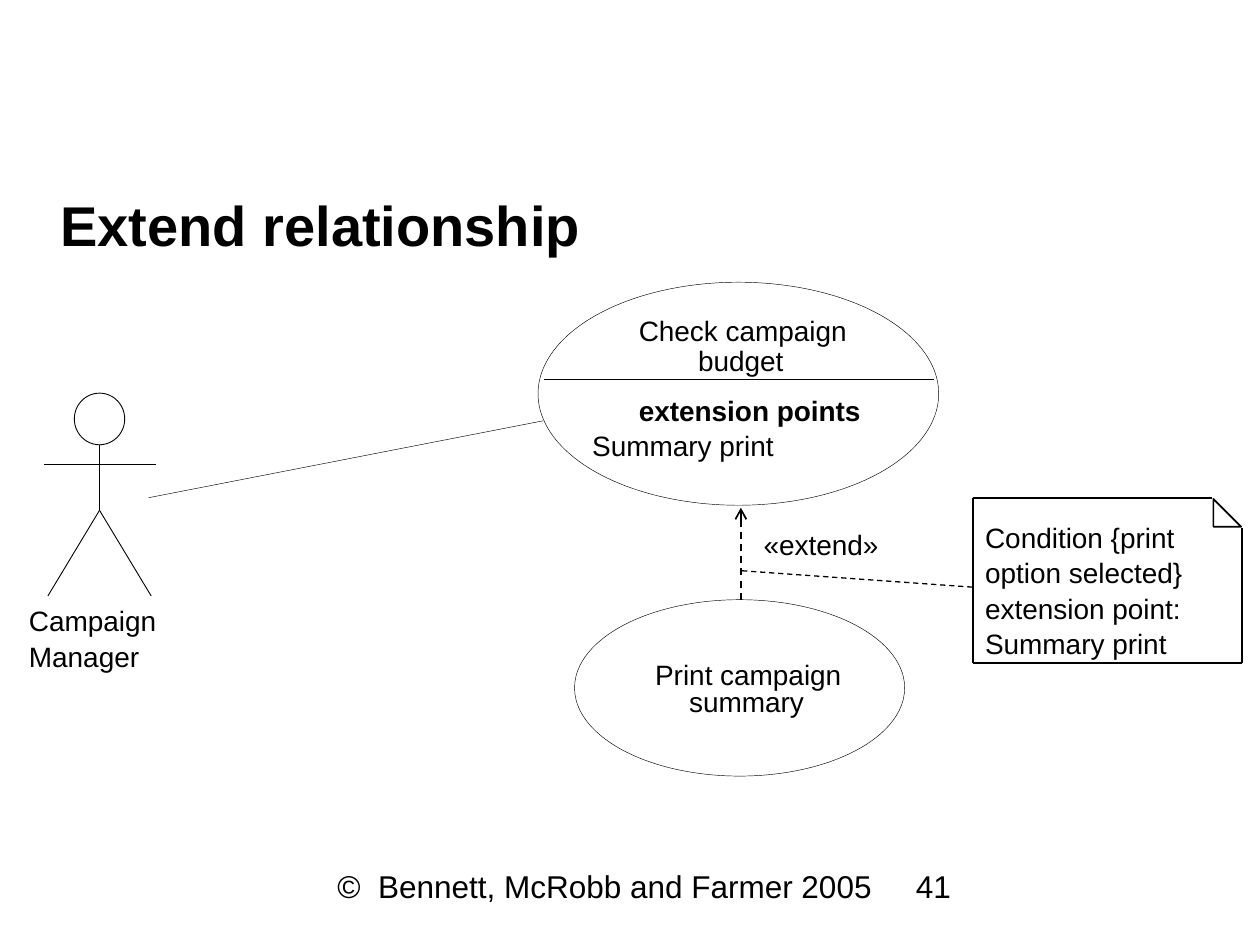
from dataclasses import dataclass

from lxml import etree
from pptx import Presentation
from pptx import util as u
from pptx.dml.color import RGBColor
from pptx.enum import dml, shapes, text
from pptx.oxml import ns

INK, PAPER = "000000", "FFFFFF"
OVAL = shapes.MSO_SHAPE.OVAL
RECT = shapes.MSO_SHAPE.RECTANGLE
FOLD = shapes.MSO_SHAPE.RIGHT_TRIANGLE


@dataclass
class Label:
    """A text box; each item of paras is one paragraph."""
    box: tuple
    paras: tuple
    size: int = 16
    bold: bool = False
    inset: tuple = (0, 0)
    space: float = 1.0


@dataclass
class Line:
    """A straight line given by its two ends."""
    start: tuple
    end: tuple
    width: float
    dash: bool = False
    arrow: bool = False


@dataclass
class Form:
    """A filled preset shape; width 0 means no outline."""
    kind: int
    box: tuple
    width: float


def color(hue: str) -> RGBColor:
    """Turn a hex string into a colour."""
    return RGBColor.from_string(hue)


def inches(vals: tuple) -> list:
    """Turn numbers into lengths."""
    return [u.Inches(v) for v in vals]


def style(font, size: int, bold: bool) -> None:
    """Set the look of a font."""
    for key, val in {"name": "Arial", "size": u.Pt(size), "bold": bold}.items():
        setattr(font, key, val)
    font.color.rgb = color(INK)


def write(frame, item: Label) -> None:
    """Fill a text frame with a label's paragraphs."""
    side, top = inches(item.inset)
    form = {"margin_left": side, "margin_right": side, "margin_top": top,
            "margin_bottom": top, "word_wrap": True}
    for key, val in form.items():
        setattr(frame, key, val)
    for num, words in enumerate(item.paras):
        para = frame.add_paragraph() if num else frame.paragraphs[0]
        para.text = words
        para.alignment = text.PP_ALIGN.LEFT
        para.line_spacing = item.space
        for run in para.runs:
            style(run.font, item.size, item.bold)


def draw_label(slide, item: Label) -> None:
    """Add a text box."""
    write(slide.shapes.add_textbox(*inches(item.box)).text_frame, item)


def draw_line(slide, item: Line) -> None:
    """Add a connector, dashed or with an arrowhead if asked."""
    link = slide.shapes.add_connector(
        shapes.MSO_CONNECTOR.STRAIGHT, *inches(item.start + item.end))
    link.line.color.rgb = color(INK)
    link.line.width = u.Pt(item.width)
    if item.dash:
        link.line.dash_style = dml.MSO_LINE.DASH
    if item.arrow:
        tip = etree.SubElement(link.line._get_or_add_ln(), ns.qn("a:tailEnd"))
        tip.set("type", "arrow")
    etree.SubElement(link._element.spPr, ns.qn("a:effectLst"))


def draw_form(slide, item: Form) -> None:
    """Add a preset shape."""
    shape = slide.shapes.add_shape(item.kind, *inches(item.box))
    shape.shadow.inherit = False
    shape.fill.solid()
    shape.fill.fore_color.rgb = color(PAPER)
    if item.width:
        shape.line.color.rgb = color(INK)
        shape.line.width = u.Pt(item.width)
    else:
        shape.line.fill.background()


def draw_title(slide, words: str) -> None:
    """Place and format the title."""
    head = slide.shapes.title
    box = inches((0.38, 1.4, 9.24, 0.76))
    for key, val in zip(("left", "top", "width", "height"), box):
        setattr(head, key, val)
    write(head.text_frame, Label((), (words,), 32, True, (0.1, 0.05)))
    head.text_frame.vertical_anchor = text.MSO_ANCHOR.MIDDLE


PAD = (0.1, 0.05)
MID, HIP, FOOT = 0.79, 4.05, 4.73
LEFT, TOP, RIGHT, BASE, CUT = 7.72, 3.95, 9.86, 5.26, 0.24

FOOTER = [
    Label((2.58, 6.83, 4.83, 0.5), ("©  Bennett, McRobb and Farmer 2005",), 18, inset=PAD),
    Label((7.17, 6.83, 2.08, 0.5), ("41",), 18, inset=PAD),
]
ACTOR = [
    Line((1.18, 3.95), (4.31, 3.34), 0.25),
    Label((0.23, 4.78, 1.1, 0.55), ("Campaign\vManager",), space=1.05),
    Line((MID, HIP), (MID, 3.51), 0.5),
    Line((0.35, 3.69), (1.24, 3.69), 0.5),
    *[Line((MID, HIP), (MID + step, FOOT), 0.5) for step in (-0.41, 0.41)],
    Form(OVAL, (0.59, 3.12, 0.4, 0.41), 0.5),
]
CASES = [
    Form(OVAL, (4.27, 2.24, 3.18, 1.77), 0.25),
    Label((5.07, 2.49, 1.74, 0.2), ("Check campaign",)),
    Label((5.54, 2.73, 0.8, 0.2), ("budget",)),
    Line((4.32, 3.01), (7.41, 3.01), 0.75),
    Label((5.07, 3.12, 2.05, 0.34), ("extension points",), bold=True),
    Label((4.7, 3.4, 2.45, 0.43), ("Summary print",)),
    Form(OVAL, (4.56, 4.76, 2.62, 1.4), 0.25),
    Label((5.2, 5.22, 1.57, 0.2), ("Print campaign",)),
    Label((5.47, 5.43, 1.03, 0.2), ("summary",)),
    Line((5.88, 4.76), (5.88, 4.03), 1, dash=True, arrow=True),
    Label((6.06, 4.19, 1.28, 0.3), ("«extend»",)),
]
NOTE = [
    Form(RECT, (LEFT, TOP, RIGHT - LEFT, BASE - TOP), 0),
    Line((LEFT, TOP), (LEFT, BASE), 1),
    Line((LEFT, TOP), (RIGHT - CUT, TOP), 1),
    Line((RIGHT, TOP + CUT), (RIGHT, BASE), 1),
    Line((LEFT, BASE), (RIGHT, BASE), 1),
    Form(FOLD, (9.63, 3.96, 0.22, 0.22), 1),
    Label((LEFT, 4.07, 2.65, 1.17),
          ("Condition {print\voption selected}", "extension point: Summary print"),
          inset=PAD, space=1.05),
    Line((5.89, 4.53), (LEFT, 4.66), 0.75, dash=True),
]
DRAW = {Label: draw_label, Line: draw_line, Form: draw_form}


def main() -> None:
    """Build and save the slide."""
    deck = Presentation()
    deck.slide_width, deck.slide_height = inches((10, 7.5))
    slide = deck.slides.add_slide(deck.slide_layouts[5])
    draw_title(slide, "Extend relationship")
    for item in FOOTER + ACTOR + CASES + NOTE:
        DRAW[type(item)](slide, item)
    deck.save("out.pptx")


main()
